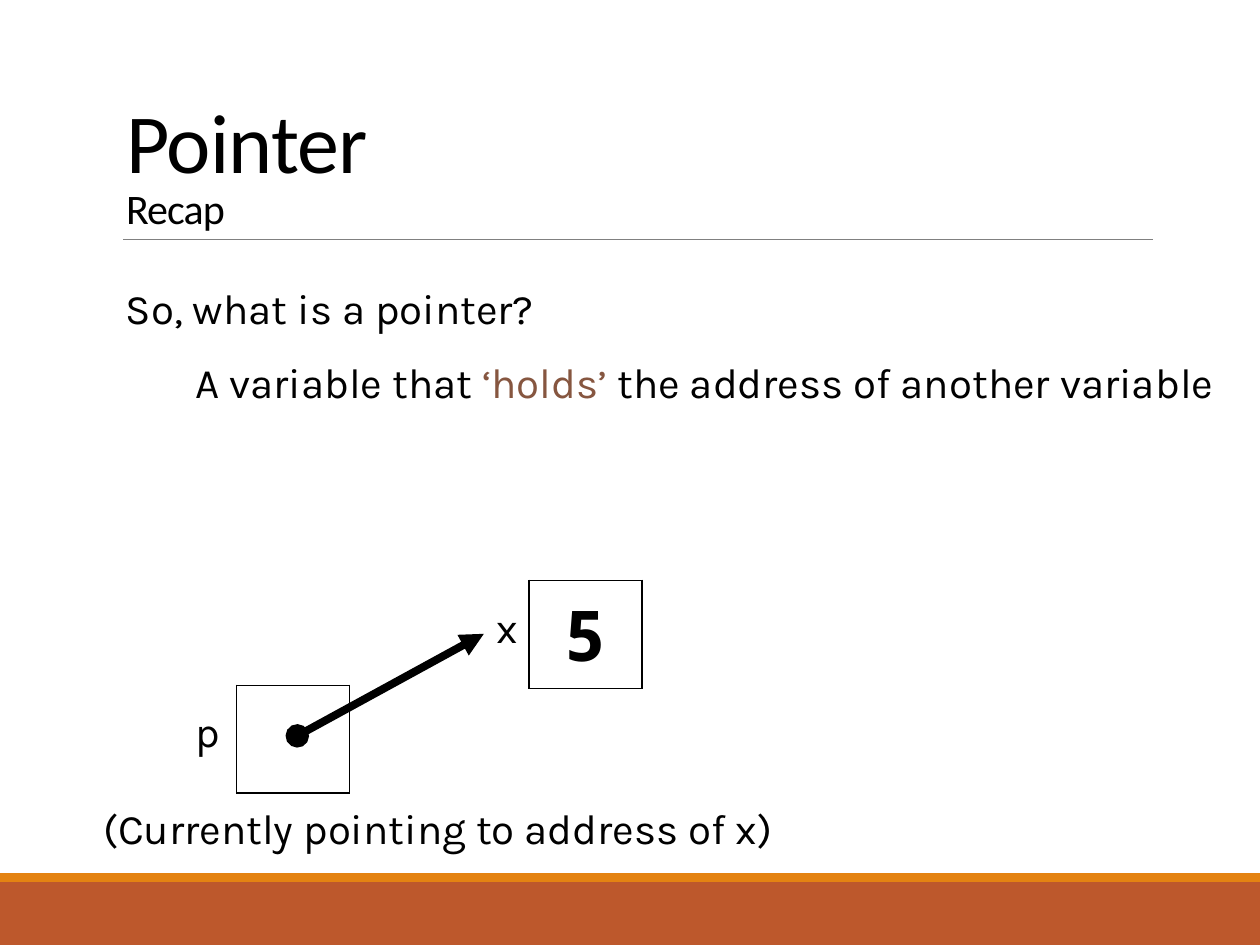
from dataclasses import dataclass

from lxml import etree
from pptx import Presentation
from pptx import util as u
from pptx.dml import color
from pptx.enum import shapes, text
from pptx.oxml import ns

Pt = u.Pt
BLACK = "000000"


@dataclass
class Band:
    top: float
    high: float
    fill: str


@dataclass
class Label:
    left: float
    top: float
    wide: float
    runs: list[tuple[str, str]]
    align: text.PP_ALIGN = text.PP_ALIGN.LEFT


@dataclass
class Cell:
    left: float
    top: float
    value: str


@dataclass
class Line:
    start: tuple[float, float]
    end: tuple[float, float]
    tint: str
    width: float
    head: str = ""
    tail: str = ""


def shade(code: str) -> color.RGBColor:
    return color.RGBColor.from_string(code)


def node(parent, tag: str, **attrs: str):
    return etree.SubElement(parent, ns.qn(tag), attrs)


def write(para, words: str, *, size: float, font: str, tint: str = BLACK,
          bold: bool = False, track: int = 0) -> None:
    run = para.add_run()
    run.text = words
    run.font.size = Pt(size)
    run.font.name = font
    run.font.bold = bold
    run.font.color.rgb = shade(tint)
    if track:
        run.font._element.set("spc", str(track))


def inset(frame, left: float, top: float, right: float, base: float) -> None:
    frame.margin_left, frame.margin_top = Pt(left), Pt(top)
    frame.margin_right, frame.margin_bottom = Pt(right), Pt(base)


def draw_band(slide, band: Band) -> None:
    box = slide.shapes.add_shape(shapes.MSO_SHAPE.RECTANGLE, Pt(0), Pt(band.top),
                                 Pt(720), Pt(band.high))
    box.shadow.inherit = False
    box.fill.solid()
    box.fill.fore_color.rgb = shade(band.fill)
    box.line.fill.background()


def draw_label(slide, label: Label) -> None:
    box = slide.shapes.add_textbox(Pt(label.left), Pt(label.top), Pt(label.wide), Pt(42.5))
    frame = box.text_frame
    frame.word_wrap = True
    inset(frame, 7.2, 4.3, 7.2, 3.6)
    para = frame.paragraphs[0]
    para.alignment = label.align
    para.line_spacing = 0.98
    for words, tint in label.runs:
        write(para, words, size=24, font="Karla", tint=tint)


def draw_cell(slide, item: Cell) -> None:
    grid = slide.shapes.add_table(1, 1, Pt(item.left), Pt(item.top), Pt(64.4), Pt(61.5)).table
    grid.first_row = grid.horz_banding = False
    cell = grid.cell(0, 0)
    cell.vertical_anchor = text.MSO_ANCHOR.MIDDLE
    para = cell.text_frame.paragraphs[0]
    para.alignment = text.PP_ALIGN.CENTER
    if item.value:
        write(para, item.value, size=40, font="Noto Sans Mono", bold=True)
    props = cell._tc.get_or_add_tcPr()
    for side in ("L", "R", "T", "B"):
        edge = node(props, f"a:ln{side}", w=str(Pt(1)))
        node(node(edge, "a:solidFill"), "a:srgbClr", val=BLACK)
    cell.fill.background()


def draw_line(slide, line: Line) -> None:
    link = slide.shapes.add_connector(shapes.MSO_CONNECTOR.STRAIGHT,
                                      *map(Pt, line.start + line.end))
    link.line.color.rgb = shade(line.tint)
    link.line.width = Pt(line.width)
    stroke = link.line._get_or_add_ln()
    for tag, kind in (("a:headEnd", line.head), ("a:tailEnd", line.tail)):
        if kind:
            node(stroke, tag, type=kind)
    node(link._element.spPr, "a:effectLst")


def draw_title(slide, main: str, sub: str) -> None:
    title = slide.shapes.title
    title.left, title.top, title.width, title.height = map(Pt, (64.8, 22.3, 594, 114.5))
    frame = title.text_frame
    frame.word_wrap = True
    frame.auto_size = text.MSO_AUTO_SIZE.NONE
    frame.vertical_anchor = text.MSO_ANCHOR.BOTTOM
    inset(frame, 7.2, 3.6, 7.2, 3.6)
    para = frame.paragraphs[0]
    para.alignment = text.PP_ALIGN.LEFT
    para.line_spacing = 0.85
    write(para, main, size=48, font="Calibri", track=-50)
    para.add_line_break()
    write(para, sub, size=24, font="Calibri", track=-50)


BANDS = [Band(504, 36, "BD582C"), Band(499, 5, "E48312")]
CELLS = [Cell(302.4, 331.7, "5"), Cell(135.2, 391.6, "")]
LINES = [
    Line((70.5, 136.8), (659, 136.8), "808080", 0.5),
    Line((169.9, 420.5), (276.5, 362.2), BLACK, 4.5, "oval", "triangle"),
]
LABELS = [
    Label(29.5, 455.8, 441.4, [("(Currently pointing to address of x)", BLACK)],
          text.PP_ALIGN.CENTER),
    Label(104.4, 400.3, 29.5, [("p", BLACK)]),
    Label(276.5, 340.6, 102.2, [("x", BLACK)]),
    Label(64.8, 158.4, 733, [("So, what is a pointer?", BLACK)]),
    Label(104.4, 200.9, 733, [("A variable that ", BLACK), ("‘holds’ ", "865640"),
                              ("the address of another variable", BLACK)]),
]


def main() -> None:
    deck = Presentation()
    deck.slide_width, deck.slide_height = Pt(720), Pt(540)
    slide = deck.slides.add_slide(deck.slide_layouts[5])
    draw_title(slide, "Pointer", "Recap")
    for draw, items in ((draw_band, BANDS), (draw_cell, CELLS),
                        (draw_line, LINES), (draw_label, LABELS)):
        for item in items:
            draw(slide, item)
    deck.save("out.pptx")


main()
